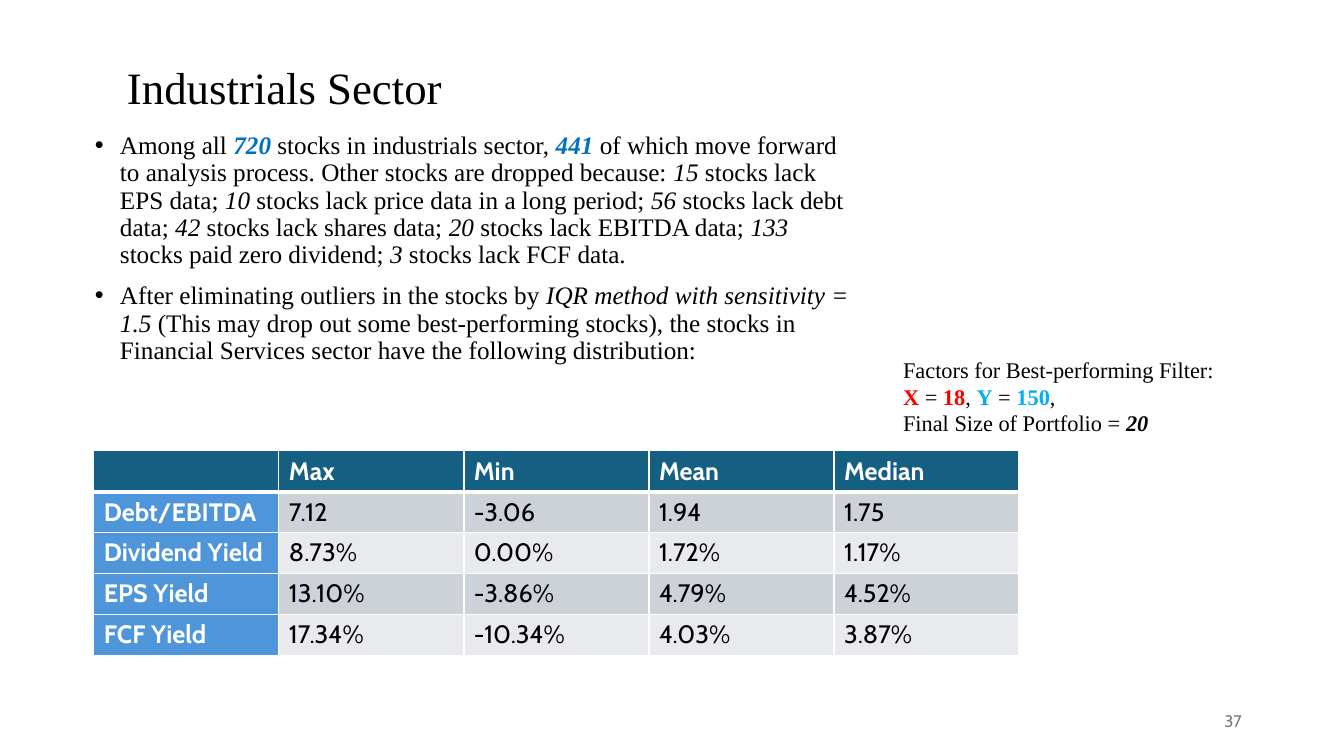
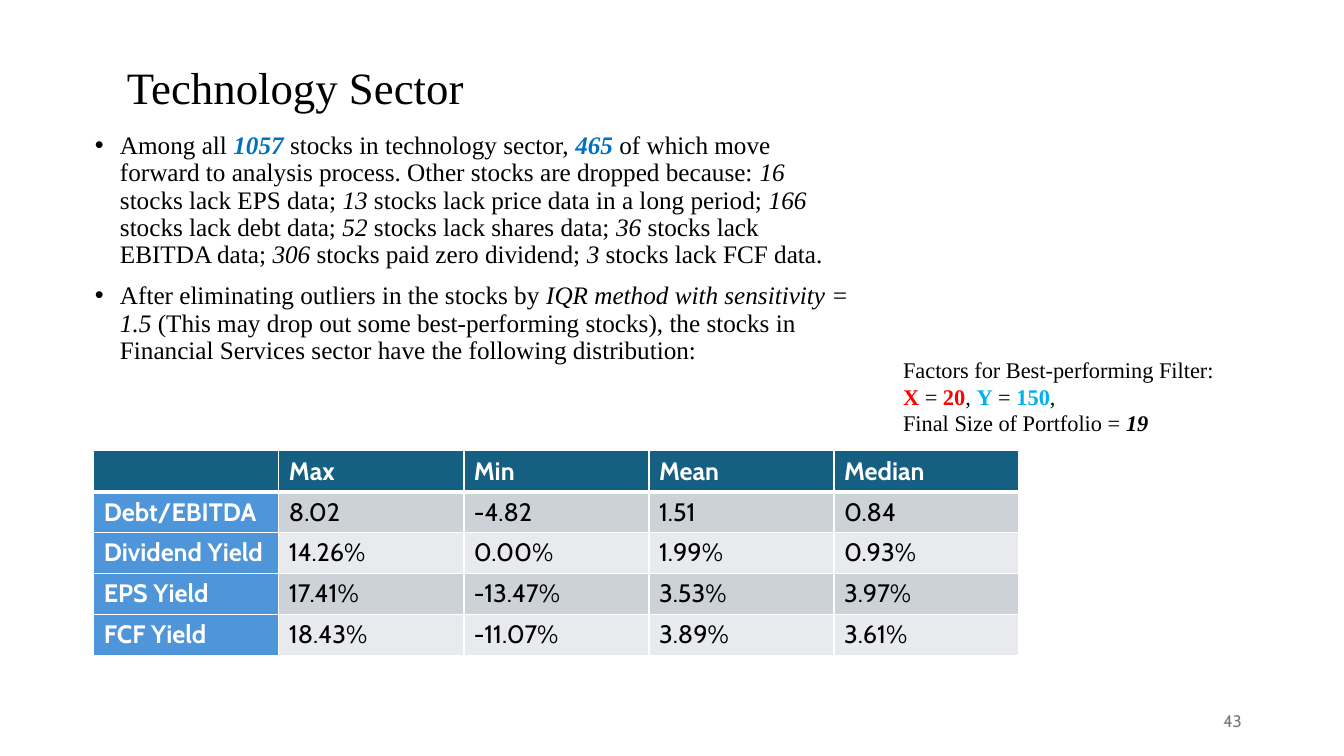
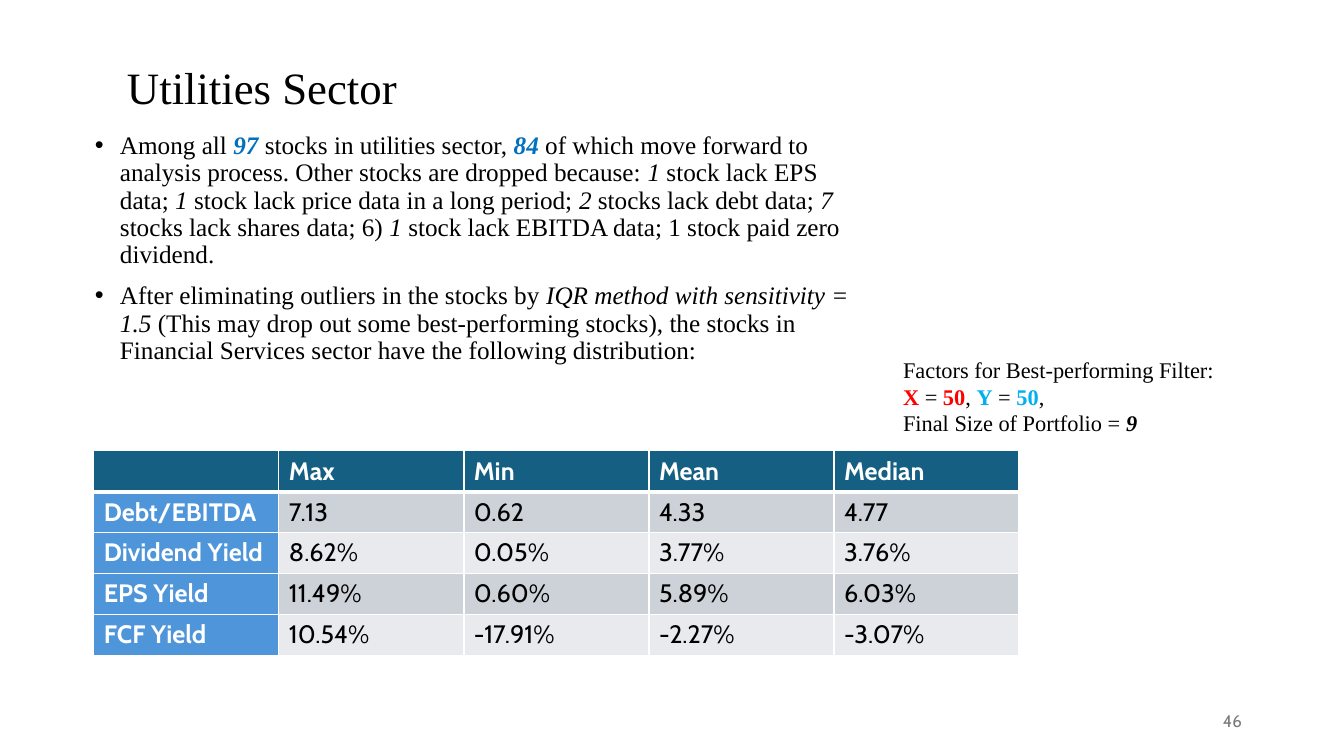
from dataclasses import dataclass
from typing import NamedTuple, Optional

from lxml import etree
from pptx import Presentation
from pptx.dml.color import RGBColor
from pptx.enum.text import MSO_ANCHOR, MSO_AUTO_SIZE, PP_ALIGN
from pptx.oxml.ns import qn
from pptx.util import Pt

LEFT, RIGHT = PP_ALIGN.LEFT, PP_ALIGN.RIGHT
TOP, MIDDLE = MSO_ANCHOR.TOP, MSO_ANCHOR.MIDDLE
NO_FIT = MSO_AUTO_SIZE.NONE

BLACK = RGBColor(0x00, 0x00, 0x00)
WHITE = RGBColor(0xFF, 0xFF, 0xFF)
GREY = RGBColor(0x79, 0x79, 0x79)
BLUE = RGBColor(0x00, 0x70, 0xC0)
RED = RGBColor(0xFF, 0x00, 0x00)
SKY = RGBColor(0x00, 0xB0, 0xF0)
HEADER_FILL = RGBColor(0x15, 0x60, 0x82)
LABEL_FILL = RGBColor(0x4E, 0x95, 0xD9)
BAND_FILLS = (RGBColor(0xCC, 0xD2, 0xD8), RGBColor(0xE8, 0xEA, 0xED))

SERIF = "Times New Roman"
SANS = "Cabin"


class Box(NamedTuple):
    left: float
    top: float
    width: float
    height: float


class Span(NamedTuple):
    text: str
    color: RGBColor = BLACK
    bold: bool = False
    italic: bool = False


@dataclass(frozen=True)
class Sector:
    name: str
    page_number: int
    total: int
    kept: int
    dropped: tuple[int, ...]
    reasons: tuple[str, ...]
    factor_x: int
    factor_y: int
    portfolio_size: int
    statistics: tuple[tuple[str, ...], ...]


# Shared layout, in points
PAGE_WIDTH, PAGE_HEIGHT = 960, 540
TITLE_BOX = Box(83.5, 10.8, 352.8, 106.5)
BODY_BOX = Box(60.5, 91.4, 556.6, 212.4)
NUMBER_BOX = Box(678.2, 500.4, 216, 28.8)
TABLE_BOX = Box(67, 322, 661, 146)
FACTORS_BOX = Box(638, 250.6, 256.3, 65.5)
BULLET_INDENT = 18
THIN, THICK = 1, 3

COLUMN_HEADS = ("", "Max", "Min", "Mean", "Median")
ROW_LABELS = ("Debt/EBITDA", "Dividend Yield", "EPS Yield", "FCF Yield")

REASONS = (
    " stocks lack EPS data; ",
    " stocks lack price data in a long period; ",
    " stocks lack debt data; ",
    " stocks lack shares data; ",
    " stocks lack EBITDA data; ",
    " stocks paid zero dividend; ",
    " stocks lack FCF data.",
)
UTILITIES_REASONS = (
    " stock lack EPS data; ",
    " stock lack price data in a long period; ",
    " stocks lack debt data; ",
    " stocks lack shares data; 6) ",
    " stock lack EBITDA data; 1 stock paid zero dividend.",
)
OUTLIER_SPANS = [
    Span("After eliminating outliers in the stocks by "),
    Span("IQR method with sensitivity = 1.5 ", italic=True),
    Span("(This may drop out some best-performing stocks), the stocks in "
         "Financial Services sector have the following distribution:"),
]

SECTORS = (
    Sector("Industrials", 37, 720, 441, (15, 10, 56, 42, 20, 133, 3), REASONS, 18, 150, 20, (
        ("7.12", "-3.06", "1.94", "1.75"),
        ("8.73%", "0.00%", "1.72%", "1.17%"),
        ("13.10%", "-3.86%", "4.79%", "4.52%"),
        ("17.34%", "-10.34%", "4.03%", "3.87%"),
    )),
    Sector("Technology", 43, 1057, 465, (16, 13, 166, 52, 36, 306, 3), REASONS, 20, 150, 19, (
        ("8.02", "-4.82", "1.51", "0.84"),
        ("14.26%", "0.00%", "1.99%", "0.93%"),
        ("17.41%", "-13.47%", "3.53%", "3.97%"),
        ("18.43%", "-11.07%", "3.89%", "3.61%"),
    )),
    Sector("Utilities", 46, 97, 84, (1, 1, 2, 7, 1), UTILITIES_REASONS, 50, 50, 9, (
        ("7.13", "0.62", "4.33", "4.77"),
        ("8.62%", "0.05%", "3.77%", "3.76%"),
        ("11.49%", "0.60%", "5.89%", "6.03%"),
        ("10.54%", "-17.91%", "-2.27%", "-3.07%"),
    )),
)


def place(shape, box: Box) -> None:
    shape.left, shape.top, shape.width, shape.height = map(Pt, box)


def add_bullet(para) -> None:
    properties = para._p.get_or_add_pPr()
    properties.set("marL", str(Pt(BULLET_INDENT)))
    properties.set("indent", str(-Pt(BULLET_INDENT)))
    font = etree.SubElement(properties, qn("a:buFont"))
    font.set("typeface", "Arial")
    mark = etree.SubElement(properties, qn("a:buChar"))
    mark.set("char", "•")


def write_spans(para, spans: list[Span], size: float, font_name: str) -> None:
    for span in spans:
        run = para.add_run()
        run.text = span.text
        run.font.name = font_name
        run.font.size = Pt(size)
        run.font.bold = span.bold
        run.font.italic = span.italic
        run.font.color.rgb = span.color


def write_text(frame, paragraphs: list[list[Span]], size: float, font_name: str = SERIF,
               anchor=TOP, align=LEFT, line_spacing: Optional[float] = None,
               gap: float = 0, bullets: bool = False) -> None:
    frame.word_wrap = True
    frame.auto_size = NO_FIT
    frame.vertical_anchor = anchor
    for index, spans in enumerate(paragraphs):
        para = frame.add_paragraph() if index else frame.paragraphs[0]
        if bullets:
            add_bullet(para)
        para.alignment = align
        para.line_spacing = line_spacing
        para.space_before = Pt(gap if index else 0)
        write_spans(para, spans, size, font_name)


def add_text_box(page, box: Box, paragraphs: list[list[Span]], size: float, **style) -> None:
    text_box = page.shapes.add_textbox(*map(Pt, box))
    write_text(text_box.text_frame, paragraphs, size, **style)


def set_borders(cell, top: float, bottom: float) -> None:
    properties = cell._tc.get_or_add_tcPr()
    for side, width in (("L", THIN), ("R", THIN), ("T", top), ("B", bottom)):
        line = etree.SubElement(properties, qn(f"a:ln{side}"))
        line.set("w", str(Pt(width)))
        fill = etree.SubElement(line, qn("a:solidFill"))
        etree.SubElement(fill, qn("a:srgbClr")).set("val", str(WHITE))


def add_statistics_table(page, sector: Sector) -> None:
    rows = [COLUMN_HEADS]
    rows += [(label, *values) for label, values in zip(ROW_LABELS, sector.statistics)]
    table = page.shapes.add_table(len(rows), len(COLUMN_HEADS), *map(Pt, TABLE_BOX)).table
    for column in table.columns:
        column.width = Pt(TABLE_BOX.width / len(COLUMN_HEADS))
    for row_index, values in enumerate(rows):
        table.rows[row_index].height = Pt(TABLE_BOX.height / len(rows))
        for column_index, value in enumerate(values):
            cell = table.cell(row_index, column_index)
            is_heading = row_index == 0 or column_index == 0
            set_borders(cell, THICK if row_index == 1 else THIN,
                        THICK if row_index == 0 else THIN)
            cell.fill.solid()
            if row_index == 0:
                cell.fill.fore_color.rgb = HEADER_FILL
            elif column_index == 0:
                cell.fill.fore_color.rgb = LABEL_FILL
            else:
                cell.fill.fore_color.rgb = BAND_FILLS[(row_index - 1) % 2]
            if value:
                span = Span(value, WHITE if is_heading else BLACK, bold=is_heading)
                write_spans(cell.text_frame.paragraphs[0], [span], 18, SANS)


def selection_spans(sector: Sector) -> list[Span]:
    spans = [
        Span("Among all "),
        Span(str(sector.total), BLUE, True, True),
        Span(f" stocks in {sector.name.lower()} sector, "),
        Span(str(sector.kept), BLUE, True, True),
        Span(" of which move forward to analysis process. "
             "Other stocks are dropped because: "),
    ]
    for count, reason in zip(sector.dropped, sector.reasons):
        spans += [Span(str(count), italic=True), Span(reason)]
    return spans


def factor_paragraphs(sector: Sector) -> list[list[Span]]:
    return [
        [Span("Factors for Best-performing Filter:")],
        [Span("X", RED, True), Span(" = "), Span(str(sector.factor_x), RED, True), Span(", "),
         Span("Y", SKY, True), Span(" = "), Span(str(sector.factor_y), SKY, True), Span(",")],
        [Span("Final Size of Portfolio = "), Span(str(sector.portfolio_size), BLACK, True, True)],
    ]


def add_sector_page(deck, sector: Sector) -> None:
    page = deck.slides.add_slide(deck.slide_layouts[1])

    # Title and bullet list
    title, body = page.shapes.title, page.placeholders[1]
    place(title, TITLE_BOX)
    write_text(title.text_frame, [[Span(f"{sector.name} Sector")]], 32,
               anchor=MIDDLE, line_spacing=0.9)
    place(body, BODY_BOX)
    write_text(body.text_frame, [selection_spans(sector), OUTLIER_SPANS], 18,
               line_spacing=0.9, gap=10, bullets=True)

    # Page number, table and filter factors
    add_text_box(page, NUMBER_BOX, [[Span(str(sector.page_number), GREY)]], 12,
                 font_name=SANS, anchor=MIDDLE, align=RIGHT)
    add_statistics_table(page, sector)
    add_text_box(page, FACTORS_BOX, factor_paragraphs(sector), 16)


def main() -> None:
    deck = Presentation()
    deck.slide_width, deck.slide_height = Pt(PAGE_WIDTH), Pt(PAGE_HEIGHT)
    for sector in SECTORS:
        add_sector_page(deck, sector)
    deck.save("out.pptx")


if __name__ == "__main__":
    main()
